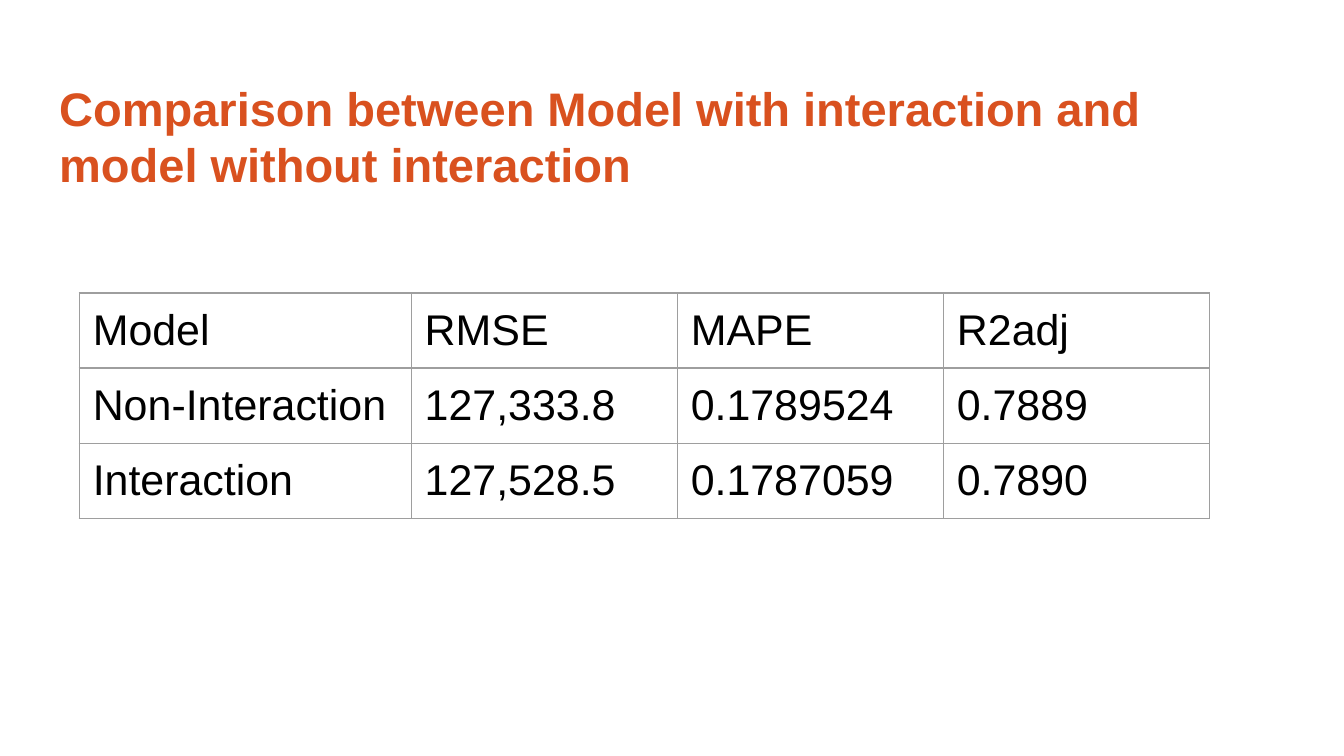
from lxml import etree
from pptx import Presentation
from pptx.dml.color import RGBColor
from pptx.enum.text import MSO_ANCHOR, PP_ALIGN
from pptx.oxml.ns import qn
from pptx.util import Inches, Pt

TOP = MSO_ANCHOR.TOP
LEFT = PP_ALIGN.LEFT
COLORS = {"title": "D9511F", "text": "000000", "border": "9E9E9E"}
TITLE_FONT = {"name": "Arial", "size": Pt(25.2), "bold": True}
CELL_FONT = {"name": "Arial", "size": Pt(23), "bold": False}
MARGINS = {f"margin_{side}": Inches(0.1) for side in ("left", "right", "top", "bottom")}
TITLE = "Comparison between Model with interaction and model without interaction"
RESULTS = [
    ["Model", "RMSE", "MAPE", "R2adj"],
    ["Non-Interaction", "127,333.8", "0.1789524", "0.7889"],
    ["Interaction", "127,528.5", "0.1787059", "0.7890"],
]
COLUMN_WIDTHS = [2.47, 1.98, 1.98, 1.98]
ROW_HEIGHT = 0.42


def set_values(target, values):
    """Set each named attribute of the target."""
    for name, value in values.items():
        setattr(target, name, value)


def write_text(para, text, font, color):
    """Write one formatted span into a left-aligned paragraph."""
    para.alignment = LEFT
    span = para.add_run()
    span.text = text
    set_values(span.font, font)
    span.font.color.rgb = RGBColor.from_string(COLORS[color])


def add_borders(cell):
    """Draw a thin line on all four sides of a cell."""
    properties = cell._tc.get_or_add_tcPr()
    for index, side in enumerate(("a:lnL", "a:lnR", "a:lnT", "a:lnB")):
        line = etree.Element(qn(side), w=str(Pt(0.75)))
        fill = etree.SubElement(line, qn("a:solidFill"))
        etree.SubElement(fill, qn("a:srgbClr"), val=COLORS["border"])
        properties.insert(index, line)


def place_title(page, left, top, width, height):
    """Place the heading in the title placeholder."""
    title = page.shapes.title
    box = {"left": left, "top": top, "width": width, "height": height}
    set_values(title, {name: Inches(value) for name, value in box.items()})
    frame = title.text_frame
    set_values(frame, {**MARGINS, "word_wrap": True, "vertical_anchor": TOP})
    para = frame.paragraphs[0]
    para.line_spacing = 1.0
    write_text(para, TITLE, TITLE_FONT, "title")


def place_results(page, left, top):
    """Place the table of model scores."""
    width, height = sum(COLUMN_WIDTHS), ROW_HEIGHT * len(RESULTS)
    table = page.shapes.add_table(
        len(RESULTS), len(COLUMN_WIDTHS),
        Inches(left), Inches(top), Inches(width), Inches(height),
    ).table
    set_values(table, {"first_row": False, "horz_banding": False})
    for column, column_width in zip(table.columns, COLUMN_WIDTHS):
        column.width = Inches(column_width)
    for row, texts in zip(table.rows, RESULTS):
        row.height = Inches(ROW_HEIGHT)
        for cell, text in zip(row.cells, texts):
            set_values(cell, {**MARGINS, "vertical_anchor": TOP})
            cell.fill.background()
            add_borders(cell)
            write_text(cell.text_frame.paragraphs[0], text, CELL_FONT, "text")


def main():
    """Build and save the deck."""
    deck = Presentation()
    width = Inches(10)
    set_values(deck, {"slide_width": width, "slide_height": width * 9 // 16})
    page = deck.slides.add_slide(deck.slide_layouts[5])
    place_title(page, 0.34, 0.49, 9.32, 0.63)
    place_results(page, 0.59, 2.18)
    deck.save("out.pptx")


if __name__ == "__main__":
    main()
